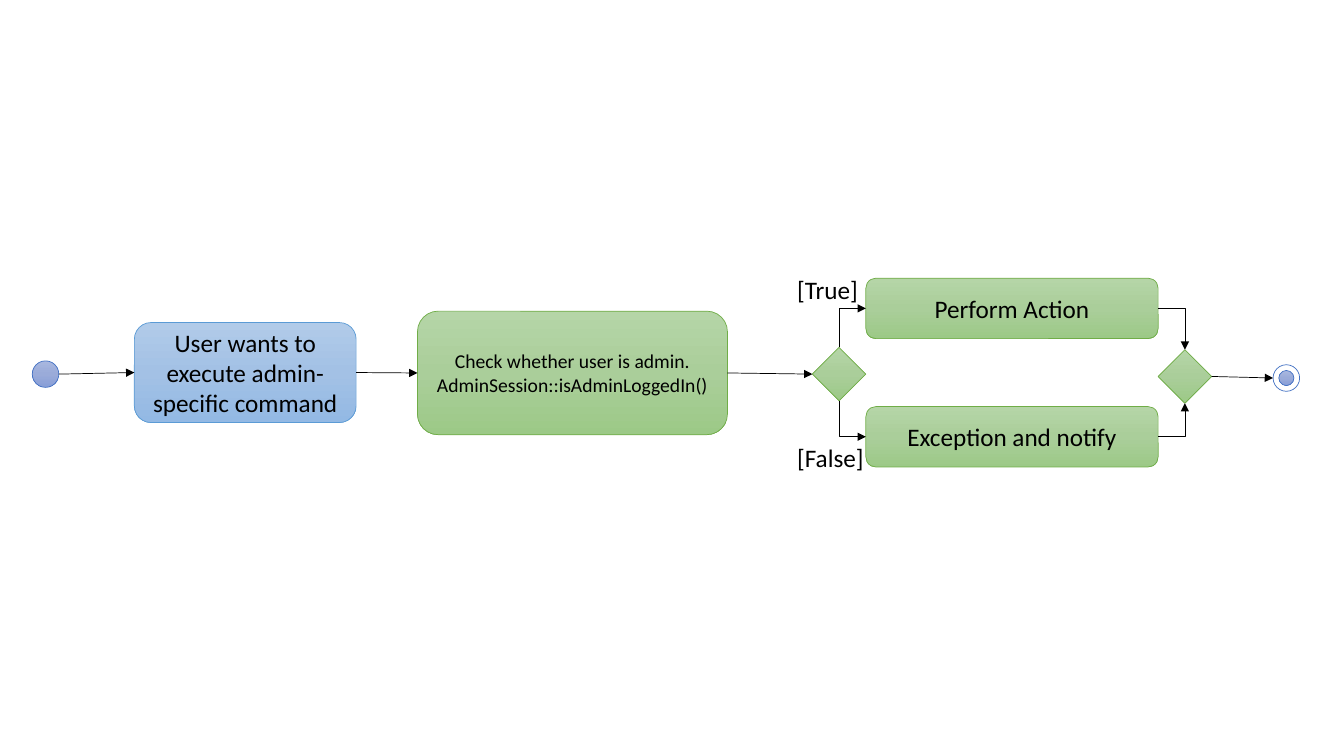
import copy
import dataclasses

import lxml.etree
import pptx
import pptx.dml.color
import pptx.enum.shapes
import pptx.enum.text
import pptx.oxml.ns
import pptx.util

Kind = pptx.enum.shapes.MSO_SHAPE


@dataclasses.dataclass(frozen=True)
class Theme:
    """Colours, type sizes and line width of the diagram."""
    font: str = "Calibri"
    ink: str = "000000"
    paper: str = "FFFFFF"
    indigo: tuple = ("A8B7DF", "9AABD9", "889ED7")
    indigo_edge: str = "4472C4"
    blue: tuple = ("B1CBE9", "A3C1E5", "93B9E4")
    blue_edge: str = "5B9BD5"
    green: tuple = ("B5D5A7", "AACE9A", "9CC987")
    green_edge: str = "70AD47"
    body: int = 18
    small: int = 14
    stroke: float = 0.5


class ActivityDiagram:
    """Draw activity nodes and flows on a slide of 160 columns by 90 rows."""

    def __init__(self, slide, theme, cell):
        self.slide, self.theme, self.cell = slide, theme, cell

    def cells(self, *counts):
        return [round(count * self.cell) for count in counts]

    def colour(self, value):
        return pptx.dml.color.RGBColor.from_string(value)

    def shade(self, node, colours):
        node.fill.gradient()
        node.fill.gradient_angle = 270
        stops = node._element.spPr.find(".//" + pptx.oxml.ns.qn("a:gsLst"))
        stops.insert(1, copy.deepcopy(stops[0]))
        for stop, place, value in zip(node.fill.gradient_stops, (0, 0.5, 1), colours):
            stop.position = place
            stop.color.rgb = self.colour(value)

    def letter(self, frame, wording, size, align):
        frame.word_wrap = True
        frame.text = wording
        for paragraph in frame.paragraphs:
            paragraph.alignment = align
            paragraph.font.name = self.theme.font
            paragraph.font.size = pptx.util.Pt(size)
            paragraph.font.color.rgb = self.colour(self.theme.ink)

    def node(self, kind, box, fill, edge, wording="", size=None):
        node = self.slide.shapes.add_shape(kind, *self.cells(*box))
        node.shadow.inherit = False
        if isinstance(fill, tuple):
            self.shade(node, fill)
        else:
            node.fill.solid()
            node.fill.fore_color.rgb = self.colour(fill)
        node.line.color.rgb = self.colour(edge)
        node.line.width = pptx.util.Pt(self.theme.stroke)
        if wording:
            node.text_frame.vertical_anchor = pptx.enum.text.MSO_ANCHOR.MIDDLE
            self.letter(node.text_frame, wording, size or self.theme.body,
                        pptx.enum.text.PP_ALIGN.CENTER)
        return node

    def step(self, box, wording, size=None):
        return self.node(Kind.ROUNDED_RECTANGLE, box, self.theme.green,
                         self.theme.green_edge, wording, size)

    def branch(self, left, top):
        return self.node(Kind.DIAMOND, (left, top, 6.36, 6.36),
                         self.theme.green, self.theme.green_edge)

    def dot(self, centre_x, centre_y, size, fill):
        box = (centre_x - size / 2, centre_y - size / 2, size, size)
        return self.node(Kind.OVAL, box, fill, self.theme.indigo_edge)

    def guard(self, box, wording):
        label = self.slide.shapes.add_textbox(*self.cells(*box))
        self.letter(label.text_frame, wording, self.theme.body,
                    pptx.enum.text.PP_ALIGN.LEFT)

    def side(self, node, name):
        across, down = {"left": (0, 0.5), "right": (1, 0.5),
                        "top": (0.5, 0), "bottom": (0.5, 1)}[name]
        return (round(node.left + across * node.width),
                round(node.top + down * node.height))

    def arrow(self, kind, start, end):
        arrow = self.slide.shapes.add_connector(kind, *start, *end)
        arrow.line.color.rgb = self.colour(self.theme.ink)
        arrow.line.width = pptx.util.Pt(self.theme.stroke)
        properties = arrow._element.spPr
        tip = lxml.etree.SubElement(properties.find(pptx.oxml.ns.qn("a:ln")),
                                    pptx.oxml.ns.qn("a:tailEnd"))
        tip.set("type", "triangle")
        lxml.etree.SubElement(properties, pptx.oxml.ns.qn("a:effectLst"))
        return properties

    def flow(self, source, target):
        self.arrow(pptx.enum.shapes.MSO_CONNECTOR.STRAIGHT,
                   self.side(source, "right"), self.side(target, "left"))

    def bend(self, start, end, upright=False):
        turn = 0
        if upright:
            turn = 1 if start[1] > end[1] else -1
            middle_x, middle_y = ((a + b) / 2 for a, b in zip(start, end))
            reach_x = turn * (start[1] - middle_y)
            reach_y = turn * (middle_x - start[0])
            start = round(middle_x + reach_x), round(middle_y + reach_y)
            end = round(middle_x - reach_x), round(middle_y - reach_y)
        properties = self.arrow(pptx.enum.shapes.MSO_CONNECTOR.ELBOW, start, end)
        properties.find(pptx.oxml.ns.qn("a:prstGeom")).set("prst", "bentConnector2")
        if turn:
            properties.find(pptx.oxml.ns.qn("a:xfrm")).set("rot", str(turn % 4 * 5400000))


def main():
    theme = Theme()
    deck = pptx.Presentation()
    deck.slide_width = pptx.util.Emu(12192000)
    deck.slide_height = pptx.util.Inches(7.5)
    slide = deck.slides.add_slide(deck.slide_layouts[6])
    diagram = ActivityDiagram(slide, theme, deck.slide_width / 160)

    start = diagram.dot(5.42, 44.54, 3.16, theme.indigo)
    request = diagram.node(Kind.ROUNDED_RECTANGLE, (16, 38.4, 26.4, 11.9), theme.blue,
                           theme.blue_edge, "User wants to execute admin-specific command")
    check = diagram.step((49.7, 37.05, 36.9, 14.7),
                         "Check whether user is admin.\vAdminSession::isAdminLoggedIn()",
                         theme.small)
    decision = diagram.branch(96.72, 41.36)
    merge = diagram.branch(137.88, 41.64)
    ring = diagram.dot(153.14, 45, 3.16, theme.paper)
    core = diagram.dot(153.14, 45, 1.8, theme.indigo)

    outcomes = (("[True]", 32.04, 32.4, "Perform Action", 33.12, "top"),
                ("[False]", 52.08, 11.16, "Exception and notify", 48.4, "bottom"))
    for condition, label_top, label_width, wording, top, side in outcomes:
        diagram.guard((93.72, label_top, label_width, 4.85), condition)
        outcome = diagram.step((103.08, top, 34.8, 7.2), wording)
        diagram.bend(diagram.side(decision, side), diagram.side(outcome, "left"), upright=True)
        diagram.bend(diagram.side(outcome, "right"), diagram.side(merge, side))

    for source, target in ((start, request), (request, check),
                           (check, decision), (merge, ring)):
        diagram.flow(source, target)
    slide.shapes.add_group_shape([ring, core])
    deck.save("out.pptx")


if __name__ == "__main__":
    main()
